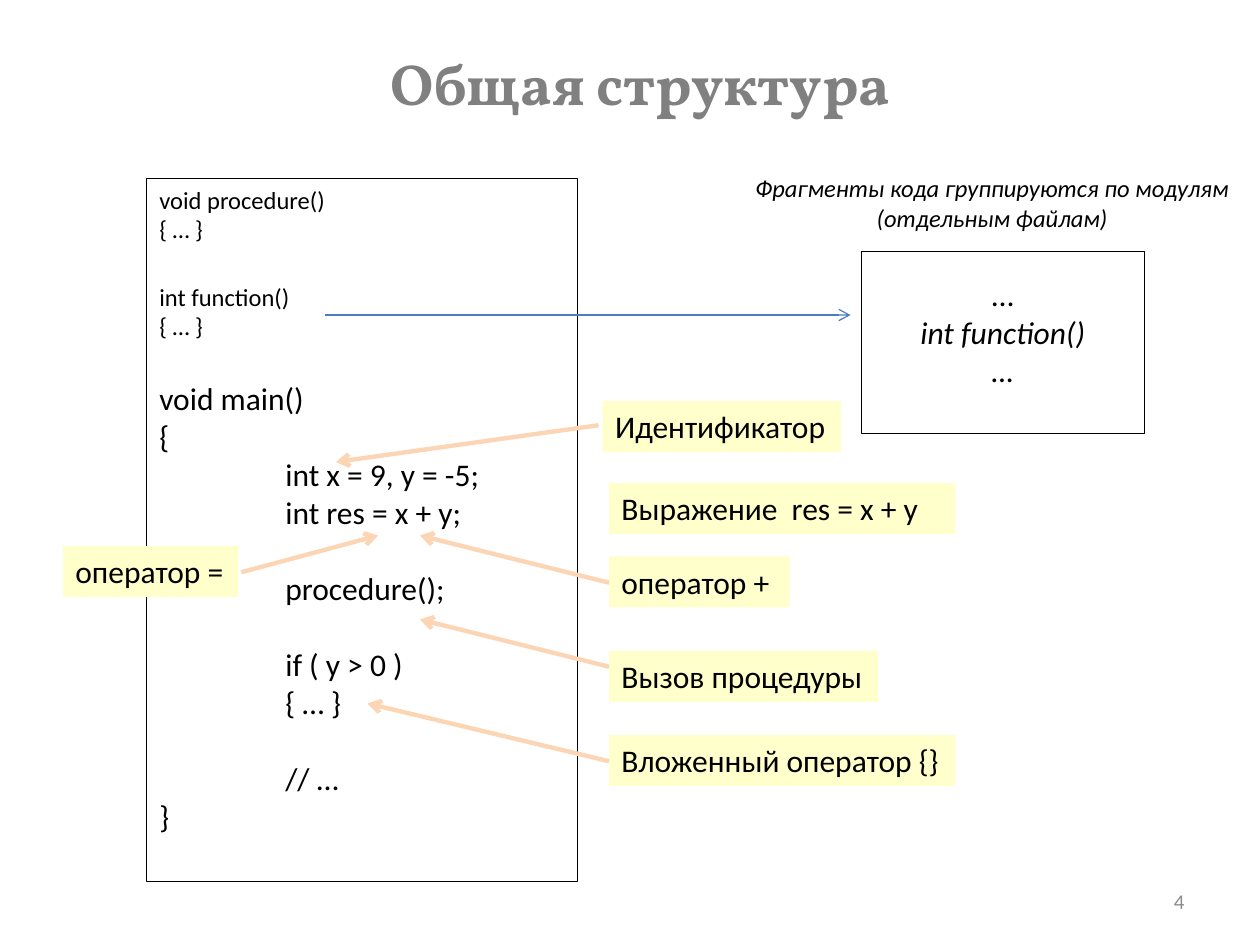
from lxml import etree
from pptx import Presentation, util as u
from pptx.dml.color import RGBColor
from pptx.enum import shapes as es, text as et
from pptx.oxml.ns import qn

CELL = 1 / 12  # grid of 120 columns by 90 rows
LINE = 22      # points in one line of 18 pt text
INK, PALE, PEACH, BLUE = "000000", "FFFFCC", "FCD5B5", "4B7EBC"
MID, LEFT, RIGHT = et.PP_ALIGN.CENTER, et.PP_ALIGN.LEFT, et.PP_ALIGN.RIGHT


def grid(*nums):
    """Turn grid counts into lengths."""
    return [u.Inches(n * CELL) for n in nums]


def tint(hue):
    """Give the colour of a hex string."""
    return RGBColor.from_string(hue)


def write(shape, rows, size=18, font="Calibri", hue=INK, bold=False,
          slant=False, align=LEFT, mid=False, pad=0.05, lead=None):
    """Write rows, each a text or (text, format), into a shape."""
    frame = shape.text_frame
    frame.word_wrap = True
    frame.vertical_anchor = et.MSO_ANCHOR.MIDDLE if mid else et.MSO_ANCHOR.TOP
    frame.margin_top = u.Inches(pad)
    for i, row in enumerate(rows):
        words, form = (row, {}) if isinstance(row, str) else row
        para = frame.add_paragraph() if i else frame.paragraphs[0]
        para.alignment = align
        if lead:
            para.line_spacing = lead
        if "gap" in form:
            para.space_before = u.Pt(form["gap"] * LINE)
        if "tab" in form:
            props = para._p.get_or_add_pPr()
            props.set("marL", str(u.Inches(form["tab"])))
            props.set("indent", "0")
        run = para.add_run()
        run.text = words
        face = run.font
        face.name, face.size = font, u.Pt(form.get("size", size))
        face.bold, face.italic = bold, form.get("slant", slant)
        face.color.rgb = tint(hue)


def note(slide, at, rows, **form):
    """Add a plain text box."""
    write(slide.shapes.add_textbox(*grid(*at)), rows, **form)


def box(slide, at, rows, fill=None, **form):
    """Add a filled box, or a thin frame when there is no fill."""
    rect = slide.shapes.add_shape(es.MSO_SHAPE.RECTANGLE, *grid(*at))
    rect.shadow.inherit = False
    if fill:
        rect.fill.solid()
        rect.fill.fore_color.rgb = tint(fill)
        rect.line.fill.background()
    else:
        rect.fill.background()
        rect.line.color.rgb = tint(INK)
        rect.line.width = u.Pt(0.5)
    write(rect, rows, **form)


def arrow(slide, ends, hue=PEACH, width=2.5):
    """Add a line with an open arrowhead at its end."""
    link = slide.shapes.add_connector(es.MSO_CONNECTOR.STRAIGHT, *grid(*ends))
    link.line.color.rgb = tint(hue)
    link.line.width = u.Pt(width)
    etree.SubElement(link.line._get_or_add_ln(), qn("a:tailEnd"), type="arrow")
    etree.SubElement(link._element.spPr, qn("a:effectLst"))


def main():
    """Build the slide."""
    deck = Presentation()
    deck.slide_width, deck.slide_height = grid(120, 90)
    slide = deck.slides.add_slide(deck.slide_layouts[6])

    note(slide, (12, 5, 98, 7), ["Общая структура"], size=33.1,
         font="Vollkorn", hue="808080", bold=True, align=MID, mid=True,
         lead=0.8)
    note(slide, (86, 83.4, 28, 4.8), ["4"], size=12, hue="8C8C8C",
         align=RIGHT, mid=True)

    small, deep = {"size": 14}, {"tab": 1}
    apart = {"tab": 1, "gap": 1}
    box(slide, (14, 17, 41, 67), [
        ("void procedure()", small), ("{ … }", small),
        ("int function()", {"size": 14, "gap": 1}), ("{ … }", small),
        ("void main()", {"gap": 1}), "{",
        ("int x = 9, y = -5;", deep), ("int res = x + y;", deep),
        ("procedure();", apart),
        ("if ( y > 0 )", apart), ("{ … }", deep),
        ("// …", apart), "}"])
    box(slide, (82, 23.9, 27, 17.4),
        ["…", ("int function()", {"slant": True}),
         ("…", {"slant": True})], align=MID, pad=0.19)
    arrow(slide, (31, 30, 81, 30), hue=BLUE, width=0.75)
    note(slide, (69, 15.9, 51, 6.8),
         ["Фрагменты кода группируются по модулям (отдельным файлам)"],
         size=14, slant=True, align=MID)

    labels = [
        ("Идентификатор", 57.4, 38.2, 22.7, (57, 40.5, 32, 44)),
        ("Выражение  res = x + y", 58, 46, 33, None),
        ("оператор +", 58, 53, 17.2, (58, 55.5, 40, 51)),
        ("Вызов процедуры", 58, 62, 25.6, (58, 63.5, 40, 59)),
        ("Вложенный оператор {}", 58, 70, 33, (58, 72.5, 35, 67)),
        ("оператор =", 6, 52, 16.7, (23, 54.5, 36, 51)),
    ]
    for words, left, top, wide, ends in labels:
        box(slide, (left, top, wide, 4.85), [words], fill=PALE)
        if ends:
            arrow(slide, ends)

    deck.save("out.pptx")


main()
